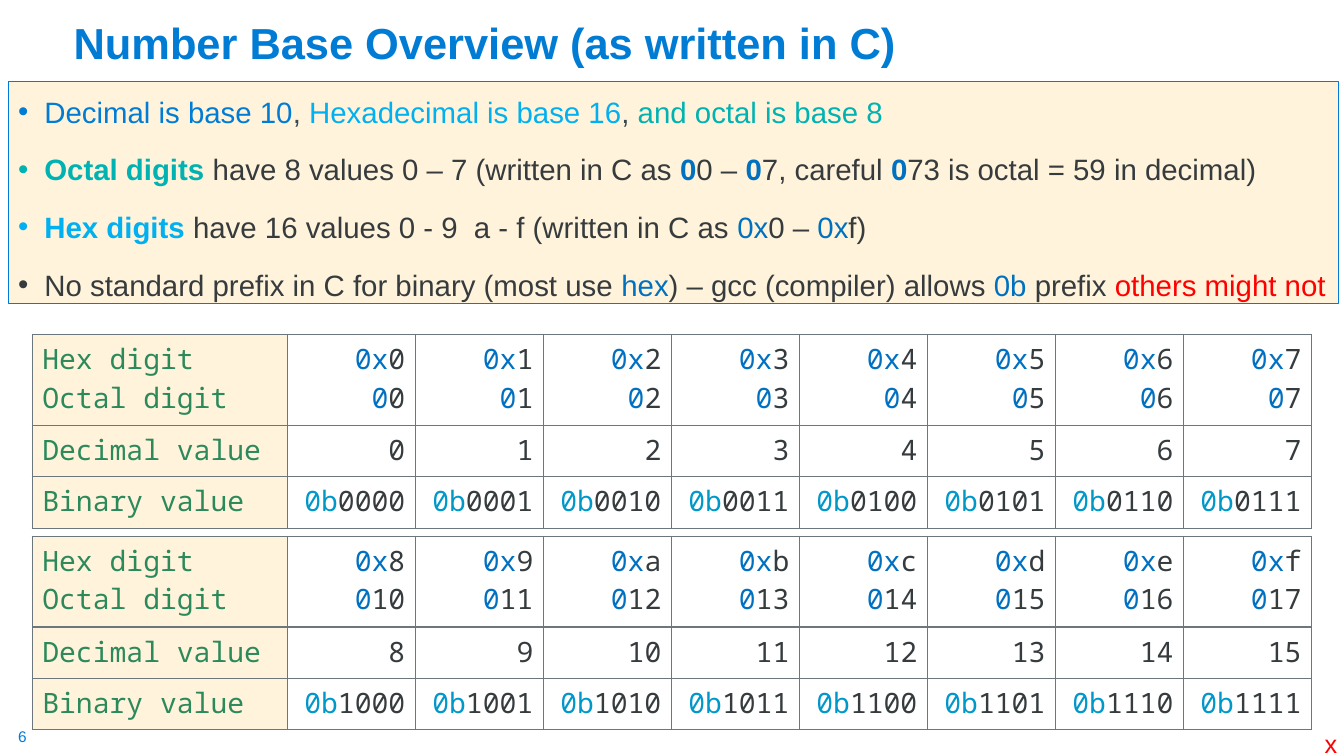
from lxml.etree import SubElement
from pptx import Presentation
from pptx.dml.color import RGBColor
from pptx.enum.text import MSO_ANCHOR as ANCHOR, MSO_AUTO_SIZE as AUTOSIZE, PP_ALIGN as ALIGN
from pptx.oxml.ns import qn
from pptx.util import Inches, Pt

BLUE = RGBColor(0x00, 0x7C, 0xD5)
PREFIX = RGBColor(0x00, 0x70, 0xC0)
SKY = RGBColor(0x00, 0xB0, 0xF0)
TEAL = RGBColor(0x00, 0xB2, 0xB1)
SLATE = RGBColor(0x38, 0x48, 0x51)
DARK = RGBColor(0x36, 0x3B, 0x3E)
RED = RGBColor(0xFF, 0x00, 0x00)
CREAM = RGBColor(0xFF, 0xF4, 0xDB)
GREEN = RGBColor(0x2C, 0x89, 0x5B)
CYAN = RGBColor(0x00, 0x98, 0xC9)
GRID = RGBColor(0x6B, 0x76, 0x7D)

BULLETS = [
    [("Decimal is base 10", BLUE), (", ", SLATE), ("Hexadecimal is base 16", SKY),
     (", ", SLATE), ("and octal is base 8", TEAL)],
    [("Octal digits ", TEAL, True), ("have 8 values 0 – 7 (written in C as ", DARK),
     ("0", PREFIX, True), ("0 – ", DARK), ("0", PREFIX, True), ("7, careful ", DARK),
     ("0", PREFIX, True), ("73 is octal = 59 in decimal)", DARK)],
    [("Hex digits ", SKY, True), ("have 16 values 0 - 9  a - f (written in C as ", DARK),
     ("0x", PREFIX), ("0 – ", DARK), ("0x", PREFIX), ("f)", DARK)],
    [("No standard prefix in C for binary (most use ", DARK), ("hex", PREFIX),
     (") – gcc (compiler) allows ", DARK), ("0b ", PREFIX), ("prefix ", DARK),
     ("others might not", RED)],
]


def add_run(p, text, color, size, bold=False, font="Arial"):
    """Append one formatted run to a paragraph."""
    r = p.add_run()
    r.text = text
    r.font.name = font
    r.font.size = Pt(size)
    r.font.bold = bold
    r.font.color.rgb = color


def place(sp, box):
    """Move a shape to a box given in inches."""
    sp.left, sp.top, sp.width, sp.height = map(Inches, box)


def paragraph(tf, i):
    """Return the paragraph for line i, adding it after the first."""
    return tf.add_paragraph() if i else tf.paragraphs[0]


def fill_title(sp, box, text):
    """Place and fill the title placeholder."""
    place(sp, box)
    tf = sp.text_frame
    tf.auto_size = AUTOSIZE.NONE
    tf.vertical_anchor = ANCHOR.BOTTOM
    p = tf.paragraphs[0]
    p.alignment = ALIGN.LEFT
    p.line_spacing = 0.9
    add_run(p, text, BLUE, 31, True)


def fill_bullets(sp, box):
    """Place the body placeholder and fill it with the bulleted facts."""
    place(sp, box)
    sp.fill.solid()
    sp.fill.fore_color.rgb = CREAM
    sp.line.color.rgb = BLUE
    sp.line.width = Pt(0.75)
    tf = sp.text_frame
    tf.auto_size = AUTOSIZE.NONE
    tf.vertical_anchor = ANCHOR.TOP
    tf.margin_right = Inches(0.05)
    for i, runs in enumerate(BULLETS):
        p = paragraph(tf, i)
        p.line_spacing = 1.2
        p.space_before = Pt(10 if i else 0)
        p.space_after = Pt(1)
        pPr = p._p.get_or_add_pPr()
        pPr.set("marL", str(Inches(0.26)))
        pPr.set("indent", str(-Inches(0.26)))
        SubElement(pPr, qn("a:buChar"), char="•")
        for text, color, *bold in runs:
            add_run(p, text, color, 21, bool(bold))


def set_borders(cell):
    """Draw a thin grey line on every side of a cell."""
    tcPr = cell._tc.get_or_add_tcPr()
    for side in ("a:lnL", "a:lnR", "a:lnT", "a:lnB"):
        ln = SubElement(tcPr, qn(side), w=str(Pt(1)))
        SubElement(SubElement(ln, qn("a:solidFill")), qn("a:srgbClr"), val=str(GRID))


def fill_cell(cell, lines, heading):
    """Write lines of coloured runs into a table cell."""
    set_borders(cell)
    if heading:
        cell.fill.solid()
        cell.fill.fore_color.rgb = CREAM
    else:
        cell.fill.background()
    for i, runs in enumerate(lines):
        p = paragraph(cell.text_frame, i)
        p.alignment = ALIGN.LEFT if heading else ALIGN.RIGHT
        for text, color in runs:
            add_run(p, text, color, 20, font="Noto Sans Mono")


def add_digit_table(s, box, values):
    """Add a table of the given values in each number base."""
    columns = [[[[("Hex digit", GREEN)], [("Octal digit", GREEN)]],
                [[("Decimal value", GREEN)]],
                [[("Binary value", GREEN)]]]]
    for n in values:
        columns.append([[[("0x", PREFIX), (f"{n:x}", DARK)], [("0", PREFIX), (f"{n:o}", DARK)]],
                        [[(str(n), DARK)]],
                        [[("0b", CYAN), (f"{n:04b}", DARK)]]])
    table = s.shapes.add_table(3, len(columns), *map(Inches, box)).table
    table.first_row = table.horz_banding = False
    for row, height in zip(table.rows, (0.9, 0.51, 0.51)):
        row.height = Inches(height)
    for c, column in enumerate(columns):
        table.columns[c].width = Inches(1.27 if c else 2.53)
        for r, lines in enumerate(column):
            fill_cell(table.cell(r, c), lines, c == 0)


def add_label(s, box, text, color, size, inset=(0.1, 0.05)):
    """Add a one-line text box with the given side and top insets."""
    tf = s.shapes.add_textbox(*map(Inches, box)).text_frame
    tf.word_wrap = False
    tf.margin_left = tf.margin_right = Inches(inset[0])
    tf.margin_top = tf.margin_bottom = Inches(inset[1])
    add_run(tf.paragraphs[0], text, color, size)


def build_overview(prs):
    """Build the number base overview slide."""
    s = prs.slides.add_slide(prs.slide_layouts[1])
    fill_title(s.shapes.title, (0.63, 0.15, 11.5, 0.58), "Number Base Overview (as written in C)")
    fill_bullets(s.placeholders[1], (0.08, 0.81, 13.2, 2.2))
    for i in range(2):
        add_digit_table(s, (0.32, 3.32 + 2 * i, 12.69, 1.92), range(8 * i, 8 * i + 8))
    add_label(s, (0.18, 7.21, 0.19, 0.19), "6", BLUE, 11, (0, 0))
    add_label(s, (13.04, 7.18, 0.33, 0.4), "x", RED, 18)


def main():
    """Create and save the presentation."""
    prs = Presentation()
    prs.slide_width, prs.slide_height = Inches(13.33), Inches(7.5)
    build_overview(prs)
    prs.save("out.pptx")


if __name__ == "__main__":
    main()
